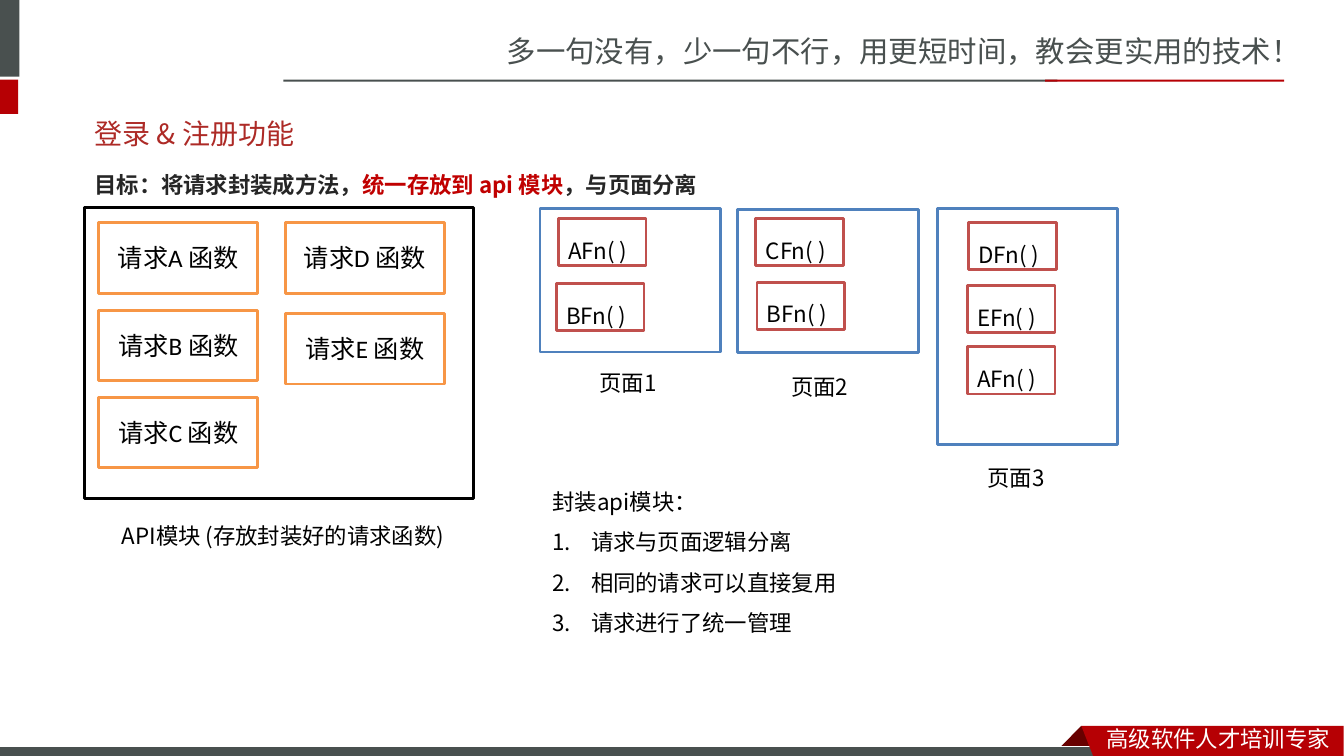
"""Build the slide on wrapping login and register requests in an api module."""
import pptx
import pptx.util
import pptx.dml.color
import pptx.enum.shapes
import pptx.enum.text
import pptx.oxml.ns
import lxml.etree

Cm, Pt = pptx.util.Cm, pptx.util.Pt
RGB = pptx.dml.color.RGBColor.from_string
ALIGN = pptx.enum.text.PP_ALIGN
ANCHOR = pptx.enum.text.MSO_ANCHOR
qn = pptx.oxml.ns.qn
SANS, SANS_SC = "Noto Sans CJK JP", "Noto Sans CJK SC"
COLORS = {
    "white": "FFFFFF", "black": "000000", "gray": "49504F", "red": "B60004",
    "fold": "680000", "title": "AD2A26", "text": "262626", "accent": "C00000",
    "orange": "F79646", "blue": "4F81BD", "brick": "C0504D",
}


def add_box(x, y, w, h, fill, line=None, width=2):
    """Add a flat rectangle, measured in centimetres."""
    sp = s.shapes.add_shape(pptx.enum.shapes.MSO_SHAPE.RECTANGLE, Cm(x), Cm(y), Cm(w), Cm(h))
    sp.shadow.inherit = False
    sp.fill.solid()
    sp.fill.fore_color.rgb = RGB(COLORS[fill])
    if line:
        sp.line.color.rgb = RGB(COLORS[line])
        sp.line.width = Pt(width)
    else:
        sp.line.fill.background()
    return sp


def add_runs(p, runs, size, font=SANS, bold=False, spacing=1.5, align=ALIGN.LEFT):
    """Format a paragraph and add its (text, colour) runs."""
    p.alignment = align
    p.line_spacing = spacing
    p.space_before = Pt(0)
    for text, color in runs:
        r = p.add_run()
        r.text = text
        r.font.size = Pt(size)
        r.font.bold = bold
        r.font.name = font
        r.font.color.rgb = RGB(COLORS[color])
        ea = lxml.etree.SubElement(r.font._element, qn("a:ea"))
        ea.set("typeface", SANS if font == "Calibri" else font)


prs = pptx.Presentation()
prs.slide_width, prs.slide_height = Cm(33.87), Cm(19.05)
s = prs.slides.add_slide(prs.slide_layouts[1])

for x, y, w, h, fill in [
    (-0.15, 0, 0.64, 1.93, "gray"),
    (-0.15, 2.01, 0.61, 0.86, "red"),
    (7.14, 2.01, 19.51, 0.05, "gray"),
    (26.34, 2.01, 6.02, 0.05, "red"),
]:
    add_box(x, y, w, h, fill)

fold = [(27.25, 18.29), (27.81, 18.85), (27.79, 18.87), (26.72, 18.87), (26.7, 18.85)]
ribbon = [(27.25, 18.29), (33.86, 18.29), (33.86, 19.15), (27.58, 19.13)]
for points, fill in [(fold, "fold"), (ribbon, "red")]:
    if fill == "red":
        add_box(-0.03, 18.82, 27.94, 0.3, "gray", "white", 0.75)
    corners = [(Cm(x), Cm(y)) for x, y in points]
    fb = s.shapes.build_freeform(*corners[0])
    fb.add_line_segments(corners[1:], close=True)
    sp = fb.convert_to_shape()
    sp.shadow.inherit = False
    sp.fill.solid()
    sp.fill.fore_color.rgb = RGB(COLORS[fill])
    sp.line.fill.background()

title = s.shapes.title
title.left, title.top, title.width, title.height = Cm(2.13), Cm(2.64), Cm(10.67), Cm(1.45)
tf = title.text_frame
tf.auto_size = pptx.enum.text.MSO_AUTO_SIZE.NONE
tf.vertical_anchor = ANCHOR.MIDDLE
add_runs(tf.paragraphs[0], [("登录 & 注册功能", "title")], 20, spacing=1)

add_box(2.13, 5.23, 9.8, 7.34, "white", "black")
for name, x, y in [
    ("A", 2.49, 5.61), ("B", 2.49, 7.82), ("C", 2.49, 10.01),
    ("D", 7.19, 5.61), ("E", 7.19, 7.9),
]:
    tf = add_box(x, y, 4.01, 1.78, "white", "orange").text_frame
    tf.vertical_anchor = ANCHOR.MIDDLE
    add_runs(tf.paragraphs[0], [(f"请求{name} 函数", "black")], 18, "Calibri",
             spacing=1, align=ALIGN.CENTER)

pages = [
    (13.61, 5.26, 3.61, [("A", 14.07, 5.51), ("B", 14.02, 7.14)]),
    (18.59, 5.28, 3.61, [("C", 19.05, 5.51), ("B", 19.08, 7.11)]),
    (23.62, 5.26, 5.94, [("D", 24.41, 5.61), ("E", 24.38, 7.19), ("A", 24.38, 8.74)]),
]
for x, y, h, calls in pages:
    add_box(x, y, 4.55, h, "white", "blue")
    for name, call_x, call_y in calls:
        tf = add_box(call_x, call_y, 2.21, 1.19, "white", "brick").text_frame
        tf.word_wrap = True
        tf.vertical_anchor = ANCHOR.TOP
        add_runs(tf.paragraphs[0], [(f"{name}Fn( )", "black")], 16)

goal = [("目标：将请求封装成方法，", "text"), ("统一存放到 api 模块", "accent"), ("，与页面分离", "text")]
labels = [
    (12.52, 0.71, 21.36, 1.19, [("多一句没有，少一句不行，用更短时间，教会更实用的技术！", "gray")], 21, SANS_SC, False, 1),
    (27.64, 18.16, 6.22, 0.94, [("高级软件人才培训专家", "white")], 16, SANS_SC, False, 1),
    (2.13, 3.86, 16.46, 1.45, goal, 16, SANS, True, 1.5),
    (2.82, 12.7, 8.74, 1.19, [("API模块 (存放封装好的请求函数)", "black")], 16, SANS, False, 1.5),
    (14.86, 8.84, 2.92, 1.19, [("页面1", "black")], 16, SANS, False, 1.5),
    (19.69, 8.94, 2.92, 1.19, [("页面2", "black")], 16, SANS, False, 1.5),
    (24.64, 11.23, 2.92, 1.19, [("页面3", "black")], 16, SANS, False, 1.5),
]
for x, y, w, h, runs, size, font, bold, spacing in labels:
    tf = s.shapes.add_textbox(Cm(x), Cm(y), Cm(w), Cm(h)).text_frame
    tf.word_wrap = True
    add_runs(tf.paragraphs[0], runs, size, font, bold, spacing)
    if bold:
        tf.paragraphs[0].space_before = Pt(3.2)

body = s.placeholders[1]
body.left, body.top, body.width, body.height = Cm(13.67), Cm(11.84), Cm(13.03), Cm(4.27)
tf = body.text_frame
tf.auto_size = pptx.enum.text.MSO_AUTO_SIZE.NONE
benefits = ["封装api模块：", "请求与页面逻辑分离", "相同的请求可以直接复用", "请求进行了统一管理"]
for i, text in enumerate(benefits):
    p = tf.add_paragraph() if i else tf.paragraphs[0]
    add_runs(p, [(text, "black")], 16)
    pPr = p._p.get_or_add_pPr()
    indent = Cm(0.97) if i else 0
    pPr.set("marL", str(indent))
    pPr.set("indent", str(-indent))
    if i:
        lxml.etree.SubElement(pPr, qn("a:buFont")).set("typeface", "+mj-lt")
        lxml.etree.SubElement(pPr, qn("a:buAutoNum")).set("type", "arabicPeriod")
    else:
        lxml.etree.SubElement(pPr, qn("a:buNone"))

prs.save("out.pptx")
